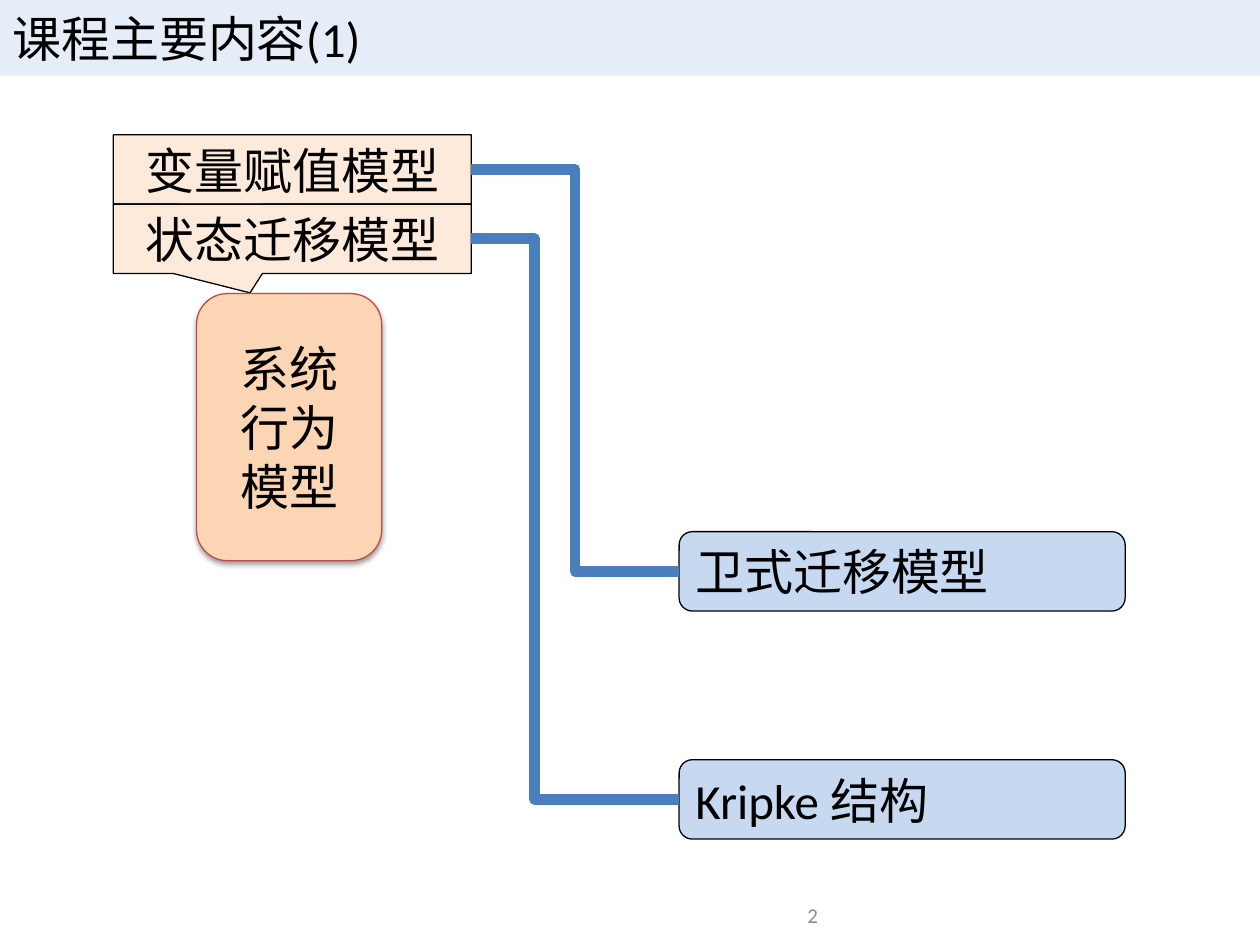
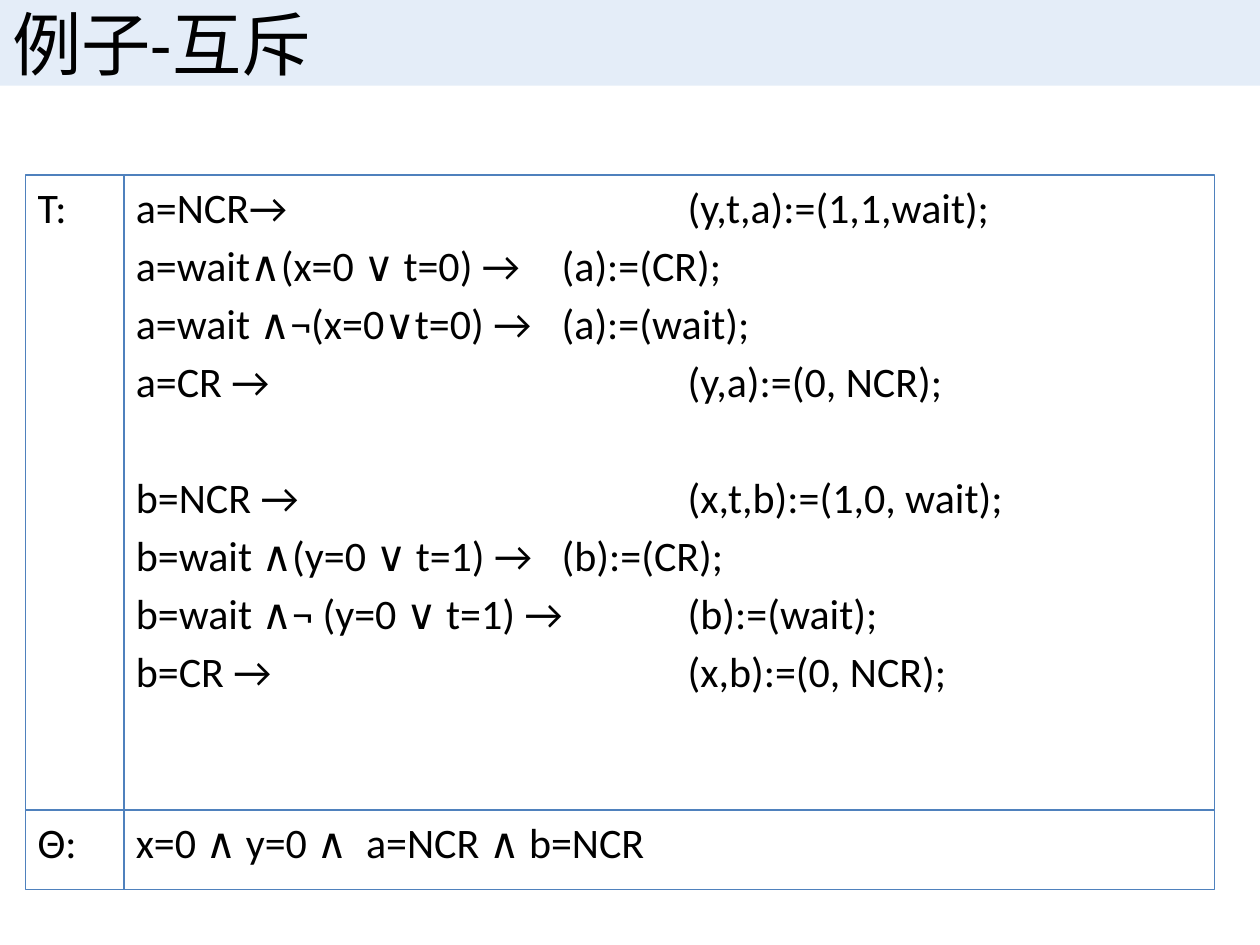
import pptx
import pptx.dml.color
import pptx.enum.shapes
import pptx.enum.text
import pptx.oxml
import pptx.oxml.ns
import pptx.util
from pptx.dml.color import RGBColor
from pptx.enum.shapes import MSO_CONNECTOR, MSO_SHAPE
from pptx.enum.text import MSO_ANCHOR, PP_ALIGN
from pptx.util import Inches, Pt

FONT = "Calibri"
BLACK = RGBColor(0x00, 0x00, 0x00)
GREY = RGBColor(0x8C, 0x8C, 0x8C)
PALE_BLUE = RGBColor(0xC6, 0xD9, 0xF1)
PALE_ORANGE = RGBColor(0xFD, 0xEA, 0xDA)
ORANGE = RGBColor(0xFC, 0xD5, 0xB5)
RED = RGBColor(0xBF, 0x4C, 0x48)
LINK_BLUE = RGBColor(0x4B, 0x7E, 0xBC)
FRAME_BLUE = RGBColor(0x4F, 0x81, 0xBD)

NS = pptx.oxml.ns.nsdecls("a")
qn = pptx.oxml.ns.qn


def add_box(slide, kind, place, lines, size, fill=None, line=None,
            align=PP_ALIGN.LEFT, anchor=MSO_ANCHOR.MIDDLE, wrap=True):
    box = slide.shapes.add_shape(kind, *[Inches(v) for v in place])
    box.shadow.inherit = False
    if fill is None:
        box.fill.background()
    else:
        box.fill.solid()
        box.fill.fore_color.rgb = fill
    if line is None:
        box.line.fill.background()
    else:
        box.line.color.rgb = line
        box.line.width = Pt(0.75)
    frame = box.text_frame
    frame.word_wrap = wrap
    frame.vertical_anchor = anchor
    frame.text = "\n".join(lines)
    for paragraph in frame.paragraphs:
        paragraph.alignment = align
        paragraph.font.name = FONT
        paragraph.font.size = Pt(size)
        paragraph.font.color.rgb = BLACK
    return box


def add_title_band(slide, title, size, height):
    band = add_box(slide, MSO_SHAPE.RECTANGLE, (0, 0, 10, height), [title], size, PALE_BLUE)
    tint = band.fill._xPr.find(qn("a:solidFill"))[0]
    tint.append(pptx.oxml.parse_xml(f'<a:alpha {NS} val="47000"/>'))


deck = pptx.Presentation()
deck.slide_width = Inches(10)
deck.slide_height = Inches(7.5)
blank = deck.slide_layouts[6]

# Slide 1: course contents
contents = deck.slides.add_slide(blank)
add_title_band(contents, "课程主要内容(1)", 28, 0.6)

page_number = contents.shapes.add_textbox(Inches(3.42), Inches(7.06), Inches(3.17), Inches(0.4))
page_number.text_frame.word_wrap = True
page_number.text_frame.vertical_anchor = MSO_ANCHOR.MIDDLE
digit = page_number.text_frame.paragraphs[0]
digit.text = "2"
digit.alignment = PP_ALIGN.RIGHT
digit.font.name = FONT
digit.font.size = Pt(12)
digit.font.color.rgb = GREY

MODEL_LEFT, MODEL_WIDTH, MODEL_HEIGHT = 0.9, 2.84, 0.55
TOPIC_LEFT, TOPIC_WIDTH, TOPIC_HEIGHT = 5.39, 3.54, 0.63

# model, its top, callout tip, topic, its top, place of the bend in 1/100000
branches = [
    ("变量赋值模型", 1.07, (-0.098, 0.503), "卫式迁移模型", 4.22, 50000),
    ("状态迁移模型", 1.62, (-0.118, 0.78), "Kripke 结构", 6.03, 30400),
]
for model, model_top, tip, topic, topic_top, bend in branches:
    callout = add_box(contents, MSO_SHAPE.RECTANGULAR_CALLOUT,
                      (MODEL_LEFT, model_top, MODEL_WIDTH, MODEL_HEIGHT), [model], 28,
                      PALE_ORANGE, BLACK, PP_ALIGN.CENTER, wrap=False)
    callout.adjustments[0], callout.adjustments[1] = tip
    add_box(contents, MSO_SHAPE.FLOWCHART_ALTERNATE_PROCESS,
            (TOPIC_LEFT, topic_top, TOPIC_WIDTH, TOPIC_HEIGHT), [topic], 28,
            PALE_BLUE, BLACK, wrap=False)
    link = contents.shapes.add_connector(
        MSO_CONNECTOR.ELBOW,
        Inches(MODEL_LEFT + MODEL_WIDTH), Inches(model_top + MODEL_HEIGHT / 2),
        Inches(TOPIC_LEFT), Inches(topic_top + TOPIC_HEIGHT / 2))
    link.line.color.rgb = LINK_BLUE
    link.line.width = Pt(6)
    properties = link._element.spPr
    properties.append(pptx.oxml.parse_xml(f"<a:effectLst {NS}/>"))
    geometry = properties.find(qn("a:prstGeom"))
    for guides in geometry.findall(qn("a:avLst")):
        geometry.remove(guides)
    geometry.append(pptx.oxml.parse_xml(
        f'<a:avLst {NS}><a:gd name="adj1" fmla="val {bend}"/></a:avLst>'))

behaviour = add_box(contents, MSO_SHAPE.ROUNDED_RECTANGLE, (1.56, 2.33, 1.47, 2.12),
                    ["系统行为模型"], 28, ORANGE, RED, PP_ALIGN.CENTER)
behaviour._element.spPr.find(qn("a:effectLst")).append(pptx.oxml.parse_xml(
    f'<a:outerShdw {NS} blurRad="{Pt(3.1)}" dist="{Pt(1.6)}" dir="5400000" rotWithShape="0">'
    '<a:srgbClr val="000000"><a:alpha val="38000"/></a:srgbClr></a:outerShdw>'))

# Slide 2: mutual exclusion example
example = deck.slides.add_slide(blank)

transitions = [
    "a=NCR→\t\t\t\t(y,t,a):=(1,1,wait);",
    "a=wait∧(x=0 ∨ t=0) →\t(a):=(CR);",
    "a=wait ∧¬(x=0∨t=0) →\t(a):=(wait);",
    "a=CR →\t\t\t\t(y,a):=(0, NCR);",
    "b=NCR →\t\t\t\t(x,t,b):=(1,0, wait);",
    "b=wait ∧(y=0 ∨ t=1) →\t(b):=(CR);",
    "b=wait ∧¬ (y=0 ∨ t=1) →\t(b):=(wait);",
    "b=CR →\t\t\t\t(x,b):=(0, NCR);",
]
SECOND_PROCESS = 4
LINE_GAP, PROCESS_GAP = 4.3, 37.8

# top, height, label, formulas
rows = [
    (1.39, 5.04, "T:", transitions),
    (6.43, 0.63, "Θ:", ["x=0 ∧ y=0 ∧  a=NCR ∧ b=NCR"]),
]
for top, height, label, formulas in rows:
    for left, width, lines in [(0.98, 8.66, formulas), (0.2, 0.79, [label])]:
        cell = add_box(example, MSO_SHAPE.RECTANGLE, (left, top, width, height), lines, 24,
                       line=FRAME_BLUE, anchor=MSO_ANCHOR.TOP)
        for index, paragraph in enumerate(cell.text_frame.paragraphs):
            if index:
                gap = PROCESS_GAP if index == SECOND_PROCESS else LINE_GAP
                paragraph.space_before = Pt(gap)
            indents = paragraph._p.get_or_add_pPr()
            indents.set("marL", str(Inches(0.38)))
            indents.set("indent", str(Inches(-0.38)))
            indents.set("defTabSz", str(Inches(1)))

add_title_band(example, "例子-互斥", 39.6, 0.68)

deck.save("out.pptx")
